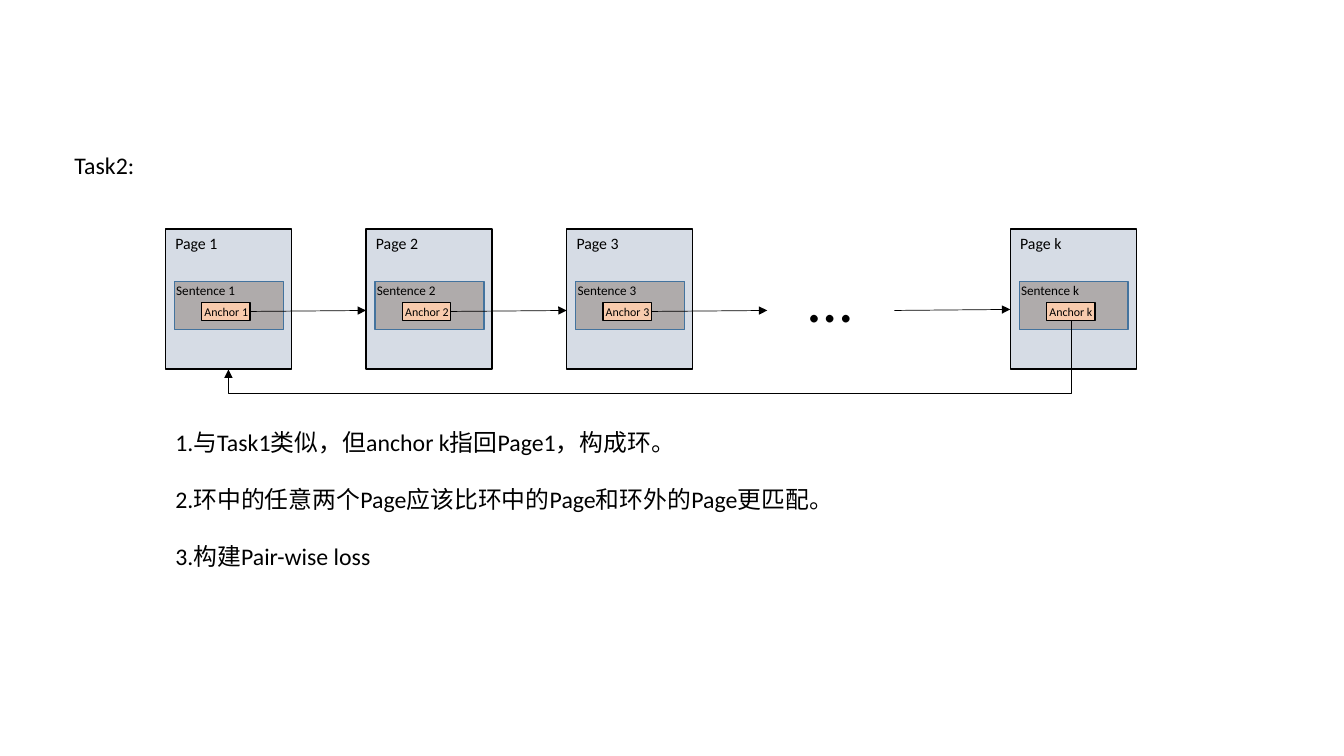
from lxml import etree
from pptx import Presentation
from pptx.dml.color import RGBColor
from pptx.enum.shapes import MSO_CONNECTOR, MSO_SHAPE
from pptx.enum.text import MSO_AUTO_SIZE
from pptx.oxml.ns import qn
from pptx.util import Inches, Pt

COLORS = {
    "ink": "000000",
    "page": "D6DCE5",
    "sentence": "AFABAB",
    "sentence_edge": "43739E",
    "anchor": "F8CBAD",
}
PAGES = [("1", 1.64), ("2", 3.63), ("3", 5.62), ("k", 10.02)]
PAGE_TOP = 2.27
ARROW_RUN = 1.15
NOTES = [
    "1.与Task1类似，但anchor k指回Page1，构成环。",
    "2.环中的任意两个Page应该比环中的Page和环外的Page更匹配。",
    "3.构建Pair-wise loss",
]


def rgb(name):
    return RGBColor.from_string(COLORS[name])


def add_text(slide, paragraphs, left, top, width, height, size, wrap=False, gap=0):
    box = slide.shapes.add_textbox(
        Inches(left), Inches(top), Inches(width), Inches(height))
    frame = box.text_frame
    frame.word_wrap = wrap
    frame.auto_size = MSO_AUTO_SIZE.SHAPE_TO_FIT_TEXT
    for index, text in enumerate(paragraphs):
        paragraph = frame.add_paragraph() if index else frame.paragraphs[0]
        if index and gap:
            paragraph.space_before = Pt(gap)
        run = paragraph.add_run()
        run.text = text
        run.font.name = "Calibri"
        run.font.size = Pt(size)
        run.font.color.rgb = rgb("ink")


def add_block(slide, left, top, width, height, fill, edge="ink"):
    block = slide.shapes.add_shape(
        MSO_SHAPE.RECTANGLE, Inches(left), Inches(top), Inches(width), Inches(height))
    block.shadow.inherit = False
    block.fill.solid()
    block.fill.fore_color.rgb = rgb(fill)
    block.line.color.rgb = rgb(edge)
    block.line.width = Pt(1)
    return block


def add_page(slide, label, left):
    """Draw a page with its sentence and anchor; return the anchor."""
    add_block(slide, left, PAGE_TOP, 1.25, 1.39, "page")
    add_text(slide, [f"Page {label}"], left, PAGE_TOP, 0.63, 0.29, 11.3)
    add_block(slide, left + 0.09, 2.79, 1.08, 0.48, "sentence", "sentence_edge")
    add_text(slide, [f"Sentence {label}"], left + 0.01, 2.75, 0.8, 0.26, 9.4)
    anchor = add_block(slide, left + 0.36, 3, 0.48, 0.18, "anchor")
    add_text(slide, [f"Anchor {label}"], left + 0.29, 2.97, 0.64, 0.24, 8.5)
    return anchor


def add_arrow(slide, start, end, kind=MSO_CONNECTOR.STRAIGHT):
    arrow = slide.shapes.add_connector(kind, *(Inches(v) for v in (*start, *end)))
    arrow.line.color.rgb = rgb("ink")
    arrow.line.width = Pt(0.5)
    etree.SubElement(arrow.line._get_or_add_ln(), qn("a:tailEnd"), type="triangle")
    etree.SubElement(arrow._element.spPr, qn("a:effectLst"))
    return arrow


def add_return_arrow(slide):
    """Lead anchor k below the pages and up to page 1, as an elbow turned 90 degrees."""
    arrow = add_arrow(slide, (6.2, -0.76), (6.69, 7.6), MSO_CONNECTOR.ELBOW)
    properties = arrow._element.spPr
    properties.find(qn("a:xfrm")).set("rot", str(90 * 60000))
    adjustments = properties.find(qn("a:prstGeom")).get_or_add_avLst()
    etree.SubElement(adjustments, qn("a:gd"), name="adj1", fmla="val 148600")


def main():
    presentation = Presentation()
    presentation.slide_width = Inches(13.33)
    presentation.slide_height = Inches(7.5)
    slide = presentation.slides.add_slide(presentation.slide_layouts[6])

    anchors = [add_page(slide, label, left) for label, left in PAGES]
    for anchor, (_, left) in zip(anchors[:-1], PAGES):
        start = left + 0.84
        arrow = add_arrow(slide, (start, 3.09), (start + ARROW_RUN, 3.08))
        arrow.begin_connect(anchor, 3)
    add_arrow(slide, (8.87, 3.08), (10.02, 3.07))
    add_text(slide, ["…"], 7.92, 2.52, 0.64, 0.86, 45.3)
    add_text(slide, ["Task2:"], 0.64, 1.45, 0.85, 0.39, 17)
    add_text(slide, NOTES, 1.64, 4.19, 6.77, 1.53, 17, wrap=True, gap=20.4)
    add_return_arrow(slide)
    presentation.save("out.pptx")


if __name__ == "__main__":
    main()
